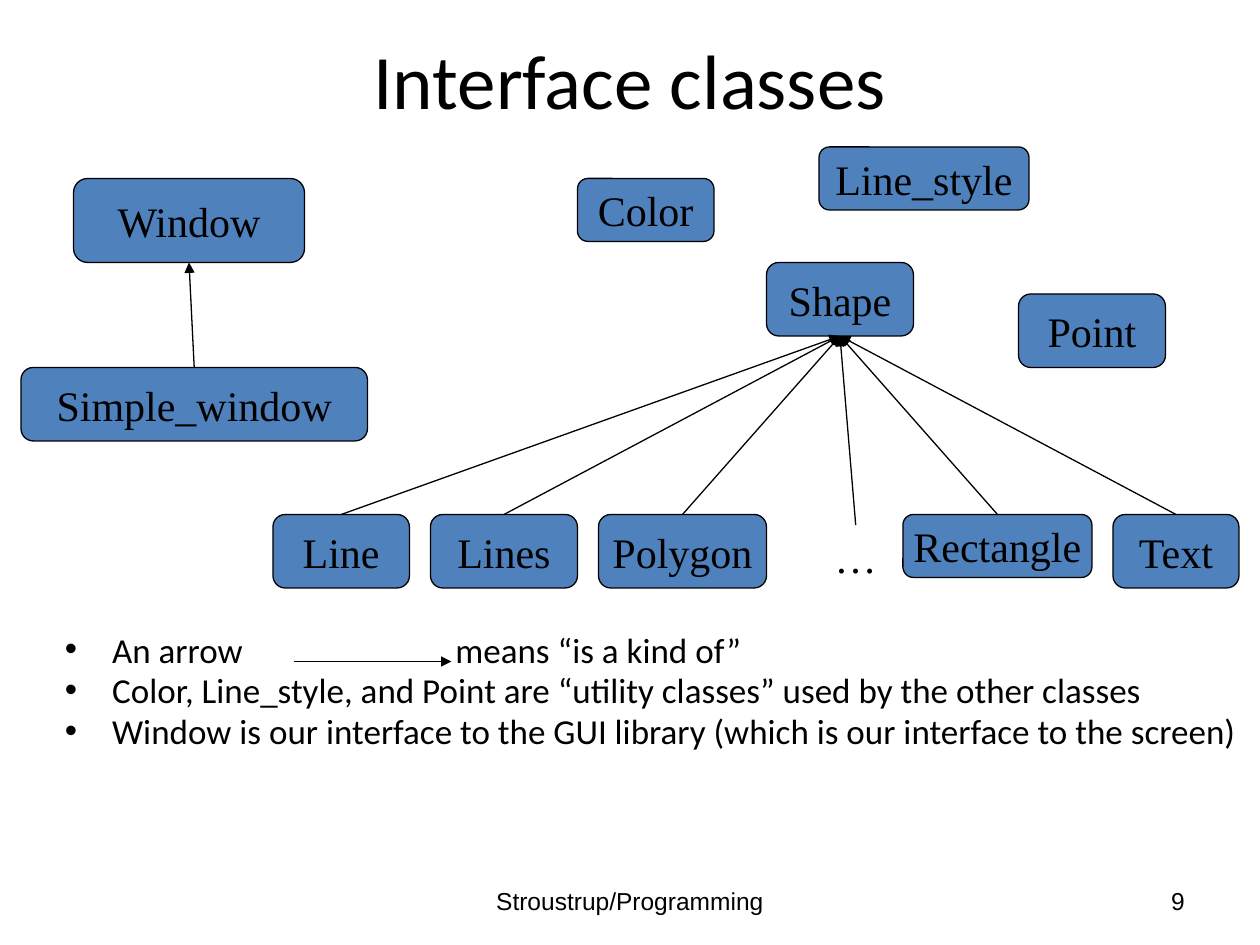
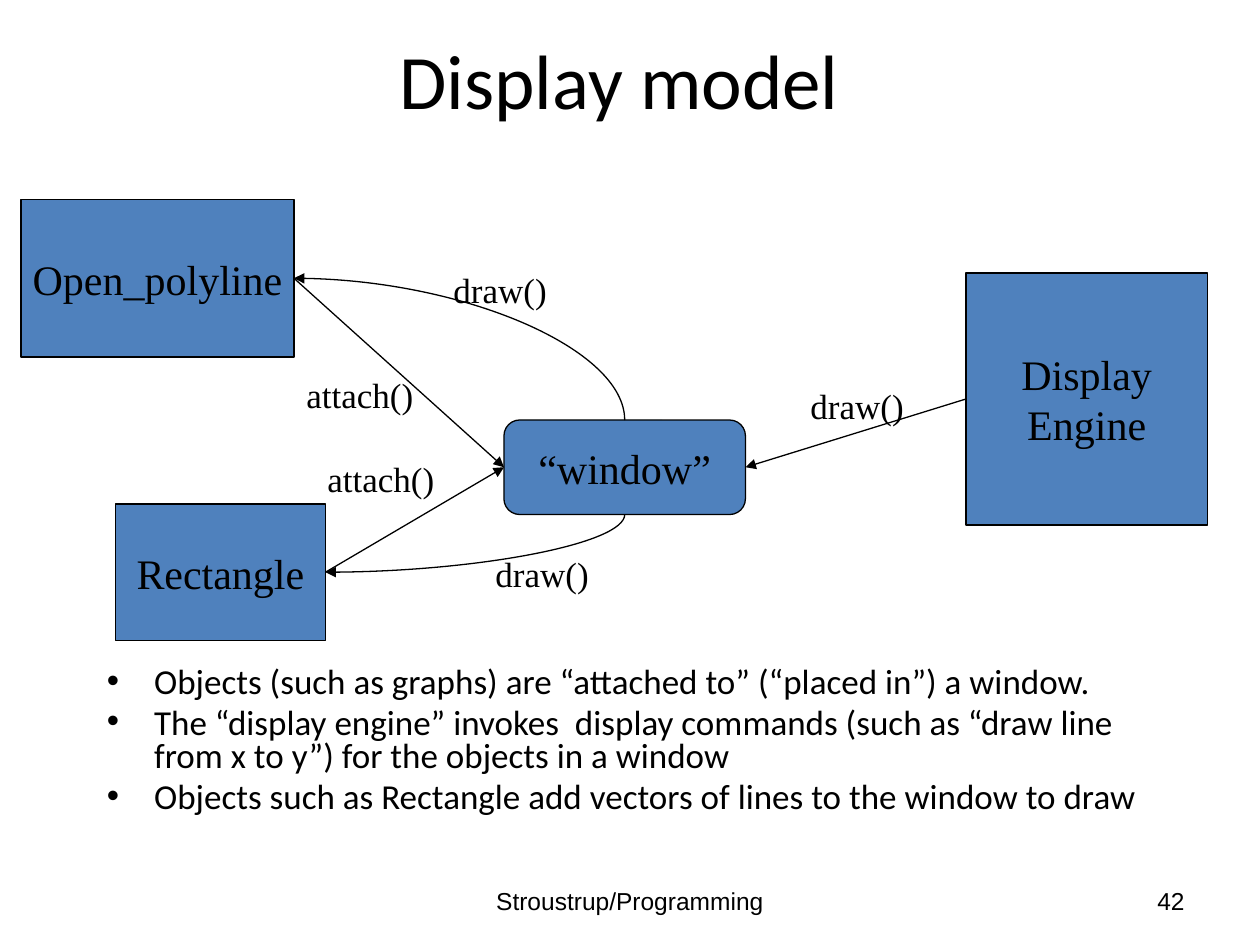
from lxml.etree import SubElement
from pptx import Presentation
from pptx.dml.color import RGBColor
from pptx.enum.shapes import MSO_CONNECTOR, MSO_SHAPE
from pptx.enum.text import MSO_ANCHOR, PP_ALIGN
from pptx.oxml.ns import qn
from pptx.util import Pt

PX = 7620
BLACK = "000000"
BLUE = "4F81BD"
SERIF = "Times New Roman"
TOP, LEFT, BOTTOM, RIGHT = range(4)
HANGING_INDENT = 45
MEANING_TAB = 372


def write_text(frame, text, size=24, font=SERIF, align=PP_ALIGN.CENTER,
               anchor=MSO_ANCHOR.MIDDLE, wrap=True, bullet=False):
    frame.text = text
    frame.word_wrap = wrap
    frame.vertical_anchor = anchor
    for paragraph in frame.paragraphs:
        paragraph.alignment = align
        paragraph.font.size = Pt(size)
        for run in paragraph.runs:
            run.font.size = Pt(size)
            run.font.name = font
            run.font.color.rgb = RGBColor.from_string(BLACK)
        if bullet:
            paragraph.line_spacing = 0.8
            paragraph.space_before = Pt(size * 0.2)
            properties = paragraph._p.get_or_add_pPr()
            properties.set("marL", str(HANGING_INDENT * PX))
            properties.set("indent", str(-HANGING_INDENT * PX))
            SubElement(properties, qn("a:buFont"), typeface="Arial")
            SubElement(properties, qn("a:buChar"), char="•")
            if "\t" in paragraph.text:
                tabs = SubElement(properties, qn("a:tabLst"))
                SubElement(tabs, qn("a:tab"), pos=str(MEANING_TAB * PX), algn="l")


def add_arrow(slide, start=(0, 0), end=(0, 0), source=None, target=None, curved=False):
    kind = MSO_CONNECTOR.CURVE if curved else MSO_CONNECTOR.STRAIGHT
    arrow = slide.shapes.add_connector(kind, *(value * PX for value in start + end))
    if source:
        arrow.begin_connect(*source)
    if target:
        arrow.end_connect(*target)
    properties = arrow._element.spPr
    if curved:
        rises = arrow.end_y < arrow.begin_y
        left, top, width, height = arrow.left, arrow.top, arrow.width, arrow.height
        arrow.left = left + (width - height) // 2
        arrow.top = top + (height - width) // 2
        arrow.width, arrow.height = height, width
        transform = properties.find(qn("a:xfrm"))
        transform.set("rot", "5400000")
        transform.set("flipH", str(int(rises)))
        transform.set("flipV", "0")
        properties.find(qn("a:prstGeom")).set("prst", "curvedConnector2")
    arrow.line.color.rgb = RGBColor.from_string(BLACK)
    arrow.line.width = Pt(0.75)
    SubElement(arrow.line._get_or_add_ln(), qn("a:tailEnd"), type="triangle")
    SubElement(properties, qn("a:effectLst"))


presentation = Presentation()
presentation.slide_width = 1200 * PX
presentation.slide_height = 900 * PX

ROUNDED, SQUARE = MSO_SHAPE.ROUNDED_RECTANGLE, MSO_SHAPE.RECTANGLE
pages = [
    {
        "title": "Interface classes", "title_left": 90, "number": "9",
        "body_box": (50, 600, 1150, 140),
        "body": [
            "An arrow\tmeans “is a kind of”",
            "Color, Line_style, and Point are “utility classes” used by the other classes",
            "Window is our interface to the GUI library (which is our interface to the screen)",
        ],
        "boxes": [
            ("Window", ROUNDED, 70, 170, 220, 80),
            ("Simple_window", ROUNDED, 20, 350, 330, 70),
            ("Color", ROUNDED, 550, 170, 130, 60),
            ("Line_style", ROUNDED, 780, 140, 200, 60),
            ("Shape", ROUNDED, 730, 250, 140, 70),
            ("Point", ROUNDED, 970, 280, 140, 70),
            ("Line", ROUNDED, 260, 490, 130, 70),
            ("Lines", ROUNDED, 410, 490, 140, 70),
            ("Polygon", ROUNDED, 570, 490, 160, 70),
            ("Rectangle", ROUNDED, 860, 490, 180, 60),
            ("Text", ROUNDED, 1060, 490, 120, 70),
        ],
        "links": [("Simple_window", TOP, "Window", BOTTOM, False)] + [
            (child, TOP, "Shape", BOTTOM, False)
            for child in ("Line", "Lines", "Polygon", "Rectangle", "Text")
        ],
        "labels": [],
    },
    {
        "title": "Display model", "title_left": 80, "number": "42",
        "body_box": (90, 630, 1020, 200),
        "body": [
            "Objects (such as graphs) are “attached to” (“placed in”) a window.",
            "The “display engine” invokes  display commands (such as “draw line from x to y”) "
            "for the objects in a window",
            "Objects such as Rectangle add vectors of lines to the window to draw",
        ],
        "boxes": [
            ("Open_polyline", SQUARE, 20, 190, 260, 150),
            ("Rectangle", SQUARE, 110, 480, 200, 130),
            ("“window”", ROUNDED, 480, 400, 230, 90),
            ("Display\nEngine", SQUARE, 920, 260, 230, 240),
        ],
        "links": [
            ("Open_polyline", RIGHT, "“window”", LEFT, False),
            ("Rectangle", RIGHT, "“window”", LEFT, False),
            ("Display\nEngine", LEFT, "“window”", RIGHT, False),
            ("“window”", TOP, "Open_polyline", RIGHT, True),
            ("“window”", BOTTOM, "Rectangle", RIGHT, True),
        ],
        "labels": [
            ("attach()", 280, 350, 126), ("attach()", 300, 430, 126),
            ("draw()", 760, 360, 113), ("draw()", 460, 520, 113), ("draw()", 420, 250, 113),
        ],
    },
]

slides = []
for page in pages:
    slide = presentation.slides.add_slide(presentation.slide_layouts[5])
    slides.append(slide)

    title = slide.shapes.title
    title.left, title.top = page["title_left"] * PX, 0
    title.width, title.height = 1020 * PX, 150 * PX
    write_text(title.text_frame, page["title"], size=44, font="Calibri")

    body = slide.shapes.add_textbox(*(value * PX for value in page["body_box"]))
    write_text(body.text_frame, "\n".join(page["body"]), size=20, font="Calibri",
               align=PP_ALIGN.LEFT, anchor=MSO_ANCHOR.TOP, bullet=True)

    for text, left, width, align in (
        ("Stroustrup/Programming", 410, 380, PP_ALIGN.CENTER),
        (page["number"], 860, 280, PP_ALIGN.RIGHT),
    ):
        footer = slide.shapes.add_textbox(left * PX, 834 * PX, width * PX, 48 * PX)
        write_text(footer.text_frame, text, size=14, font="Arial", align=align)

    boxes = {}
    for name, kind, *place in page["boxes"]:
        shape = slide.shapes.add_shape(kind, *(value * PX for value in place))
        shape.shadow.inherit = False
        shape.fill.solid()
        shape.fill.fore_color.rgb = RGBColor.from_string(BLUE)
        shape.line.color.rgb = RGBColor.from_string(BLACK)
        shape.line.width = Pt(0.75)
        write_text(shape.text_frame, name, wrap=False)
        boxes[name] = shape

    for source, source_side, target, target_side, curved in page["links"]:
        add_arrow(slide, source=(boxes[source], source_side),
                  target=(boxes[target], target_side), curved=curved)

    for text, left, top, width in page["labels"]:
        label = slide.shapes.add_textbox(left * PX, top * PX, width * PX, 52 * PX)
        write_text(label.text_frame, text, size=20, align=PP_ALIGN.LEFT,
                   anchor=MSO_ANCHOR.TOP, wrap=False)

interface_slide = slides[0]
more_classes = interface_slide.shapes.add_textbox(750 * PX, 500 * PX, 130 * PX, 60 * PX)
write_text(more_classes.text_frame, "…", anchor=MSO_ANCHOR.TOP)
add_arrow(interface_slide, start=(815, 500), end=(800, 320))
add_arrow(interface_slide, start=(280, 630), end=(430, 630))

presentation.save("out.pptx")
